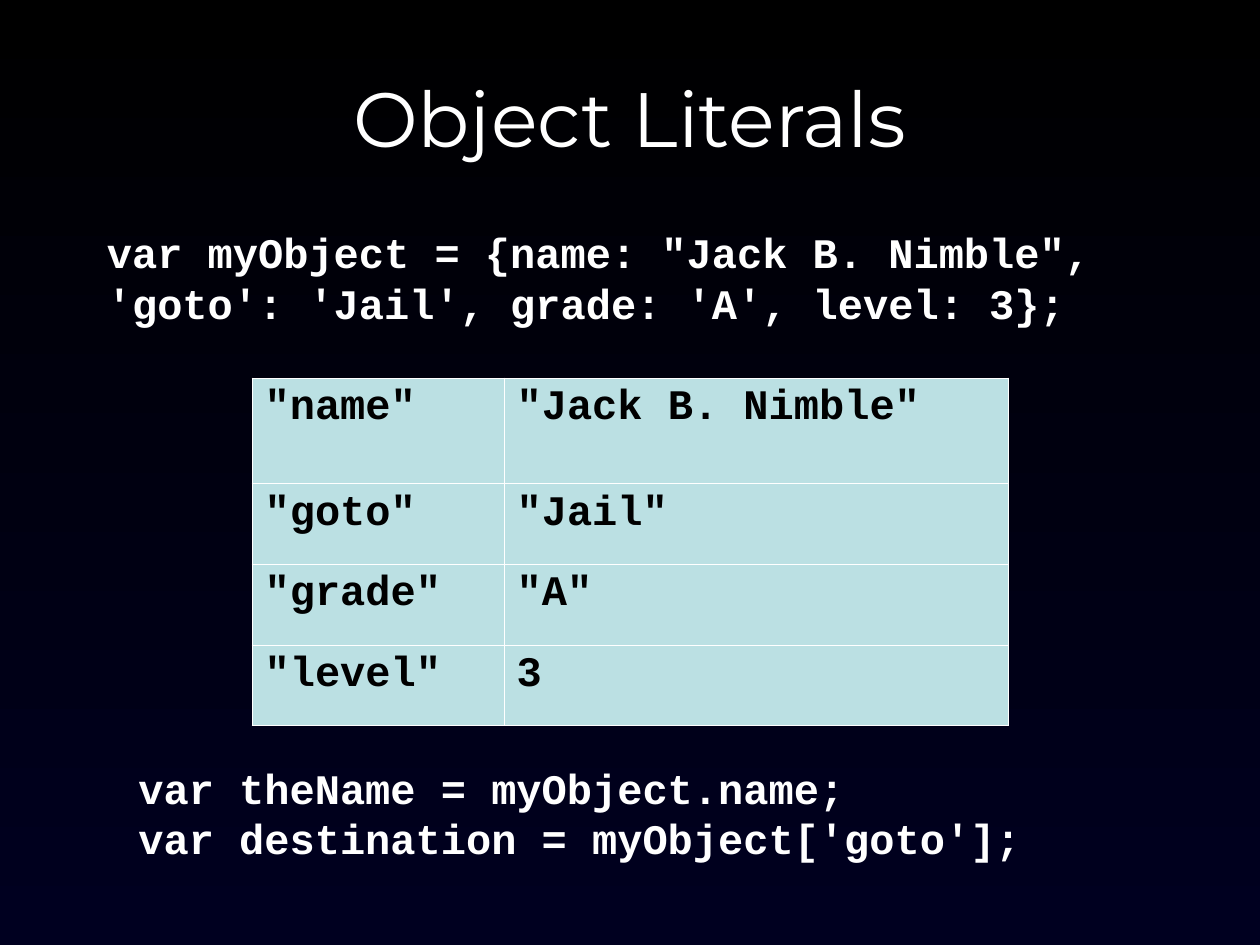
from pptx import Presentation, util as u
from pptx.dml.color import RGBColor
from pptx.enum import text
from pptx.oxml import parse_xml
from pptx.oxml.ns import nsdecls

WHITE, BLACK, NAVY, PALE = "FFFFFF", "000000", "000020", "BBE0E3"
CODE, HEADING = "Courier New", "Montserrat"

prs = Presentation()
prs.slide_width, prs.slide_height = u.Inches(10), u.Inches(7.5)
COL, ROW = prs.slide_width // 40, prs.slide_height // 30


def rgb(value):
    return RGBColor.from_string(value)


def add_run(p, words, color, font=CODE, size=24, bold=True):
    r = p.add_run()
    r.text = words
    r.font.name, r.font.size, r.font.bold = font, u.Pt(size), bold
    r.font.color.rgb = rgb(color)


s = prs.slides.add_slide(prs.slide_layouts[5])
background = s.background.fill
background.gradient()
background.gradient_angle = 270
for stop, color in zip(background.gradient_stops, (BLACK, NAVY)):
    stop.color.rgb = rgb(color)

# Title
title = s.shapes.title
title.left, title.top = 2 * COL, int(1.2 * ROW)
title.width, title.height = 36 * COL, 5 * ROW
tf = title.text_frame
tf.vertical_anchor = text.MSO_ANCHOR.MIDDLE
tf.auto_size = text.MSO_AUTO_SIZE.NONE
p = tf.paragraphs[0]
p.alignment = text.PP_ALIGN.CENTER
add_run(p, "Object Literals", WHITE, HEADING, 44, False)

# Code above and below the table: left, top, width in grid units, then lines
code_blocks = [
    (3, 7, 34, ["var myObject = {name: \"Jack B. Nimble\", "
                "'goto': 'Jail', grade: 'A', level: 3};"]),
    (4, 24, 32, ["var theName = myObject.name;",
                 "var destination = myObject['goto'];"]),
]
for left, top, width, lines in code_blocks:
    sp = s.shapes.add_textbox(left * COL, top * ROW, width * COL, int(3.6 * ROW))
    tf = sp.text_frame
    tf.word_wrap = True
    tf.auto_size = text.MSO_AUTO_SIZE.SHAPE_TO_FIT_TEXT
    for i, line in enumerate(lines):
        p = tf.add_paragraph() if i else tf.paragraphs[0]
        add_run(p, line, WHITE)

# Table of the object's properties
properties = [
    ('"name"', '"Jack B. Nimble"'),
    ('"goto"', '"Jail"'),
    ('"grade"', '"A"'),
    ('"level"', "3"),
]
table = s.shapes.add_table(len(properties), 2, 8 * COL, 12 * ROW,
                           24 * COL, 11 * ROW).table
table.first_row = table.horz_banding = False
table.columns[0].width, table.columns[1].width = 8 * COL, 16 * COL
for i, values in enumerate(properties):
    table.rows[i].height = u.Inches(0.64 if i else 0.84)
    for j, value in enumerate(values):
        cell = table.cell(i, j)
        tc_pr = cell._tc.get_or_add_tcPr()
        for side in "LRTB":
            tc_pr.append(parse_xml(
                f'<a:ln{side} {nsdecls("a")} w="{u.Pt(0.45)}"><a:solidFill>'
                f'<a:srgbClr val="{WHITE}"/></a:solidFill></a:ln{side}>'))
        cell.fill.solid()
        cell.fill.fore_color.rgb = rgb(PALE)
        add_run(cell.text_frame.paragraphs[0], value, BLACK)

prs.save("out.pptx")
